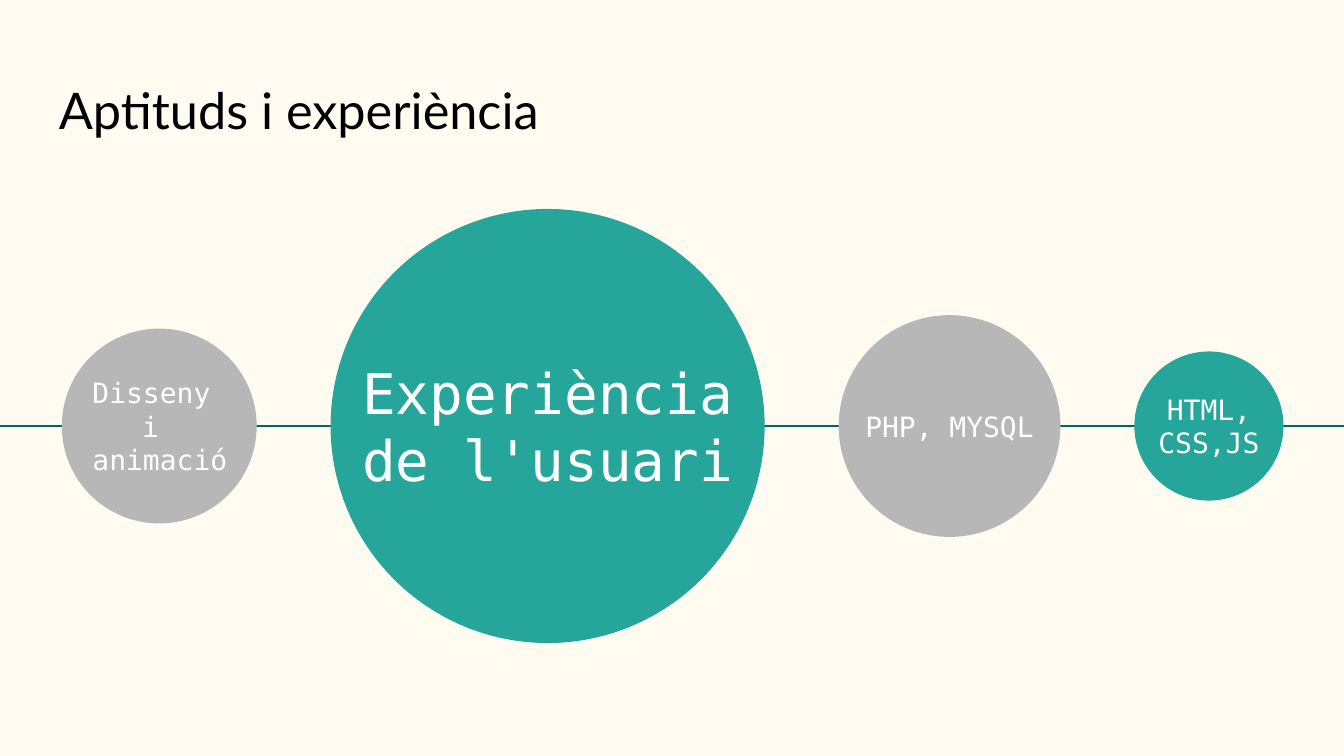
from pptx import Presentation
from pptx import util as u
from pptx.dml.color import RGBColor
from pptx.enum import shapes, text
from pptx.oxml import parse_xml
from pptx.oxml.ns import nsdecls

GREY, TEAL, DARK_TEAL = "B7B7B7", "26A69A", "00695C"
WHITE, BLACK, CREAM = "FFFFFF", "000000", "FFFBF0"
MONO, SANS = "DejaVu Sans Mono", "Lato"


def color(value):
    """Turn a hex string into a colour."""
    return RGBColor.from_string(value)


def add_text(page, box, lines, size, font=MONO, fill=WHITE, align="LEFT", anchor="MIDDLE"):
    """Write (line, left margin) pairs as paragraphs in a text box."""
    frame = page.shapes.add_textbox(*map(u.Inches, box)).text_frame
    frame.word_wrap = True
    frame.vertical_anchor = text.MSO_ANCHOR[anchor]
    frame.margin_left = frame.margin_right = u.Inches(0.1)
    frame.margin_top = frame.margin_bottom = u.Inches(0.1)
    for index, (line, margin) in enumerate(lines):
        para = frame.add_paragraph() if index else frame.paragraphs[0]
        para.alignment = text.PP_ALIGN[align]
        if margin:
            para._p.get_or_add_pPr().set("marL", str(u.Inches(margin)))
        span = para.add_run()
        span.text = line
        span.font.size = u.Pt(size)
        span.font.name = font
        span.font.color.rgb = color(fill)


def add_timeline(page, left, right, middle):
    """Draw the horizontal line that runs behind the circles."""
    line = page.shapes.add_connector(
        shapes.MSO_CONNECTOR.STRAIGHT, *map(u.Inches, (left, middle, right, middle)))
    line.line.color.rgb = color(DARK_TEAL)
    line.line.width = u.Pt(1.5)
    line._element.spPr.append(parse_xml(f"<a:effectLst {nsdecls('a')}/>"))


def add_skill(page, left, middle, diameter, fill, lines, size, align):
    """Draw one circle centred on the line, with its label."""
    box = (left, middle - diameter / 2, diameter, diameter)
    circle = page.shapes.add_shape(shapes.MSO_SHAPE.OVAL, *map(u.Inches, box))
    circle.shadow.inherit = False
    circle.fill.solid()
    circle.fill.fore_color.rgb = color(fill)
    circle.line.fill.background()
    height = 0.66
    add_text(page, (left, middle - height / 2, diameter, height), lines, size, align=align)


def add_skills(page, left, middle, gap):
    """Place the skill circles from left to right with equal gaps."""
    skills = [
        (1.45, GREY, [("Disseny", 0.13), ("i", 0.5), ("animació", 0.13)], 15, "LEFT"),
        (3.23, TEAL, [("Experiència de l'usuari", 0)], 30, "CENTER"),
        (1.65, GREY, [("PHP, MYSQL", 0)], 15, "CENTER"),
        (1.11, TEAL, [("HTML, CSS,JS", 0)], 15, "CENTER"),
    ]
    for diameter, fill, lines, size, align in skills:
        add_skill(page, left, middle, diameter, fill, lines, size, align)
        left += diameter + gap


def main():
    """Build and save the deck in 16:9 format."""
    deck = Presentation()
    deck.slide_width = u.Inches(10)
    deck.slide_height = deck.slide_width * 9 // 16
    page = deck.slides.add_slide(deck.slide_layouts[6])
    page.background.fill.solid()
    page.background.fill.fore_color.rgb = color(CREAM)
    middle = 3.17
    add_timeline(page, -0.01, 10, middle)
    add_text(page, (0.34, 0.49, 9.32, 0.67), [("Aptituds i experiència", 0)], 27,
             font=SANS, fill=BLACK, anchor="TOP")
    add_skills(page, 0.46, middle, 0.55)
    deck.save("out.pptx")


if __name__ == "__main__":
    main()
